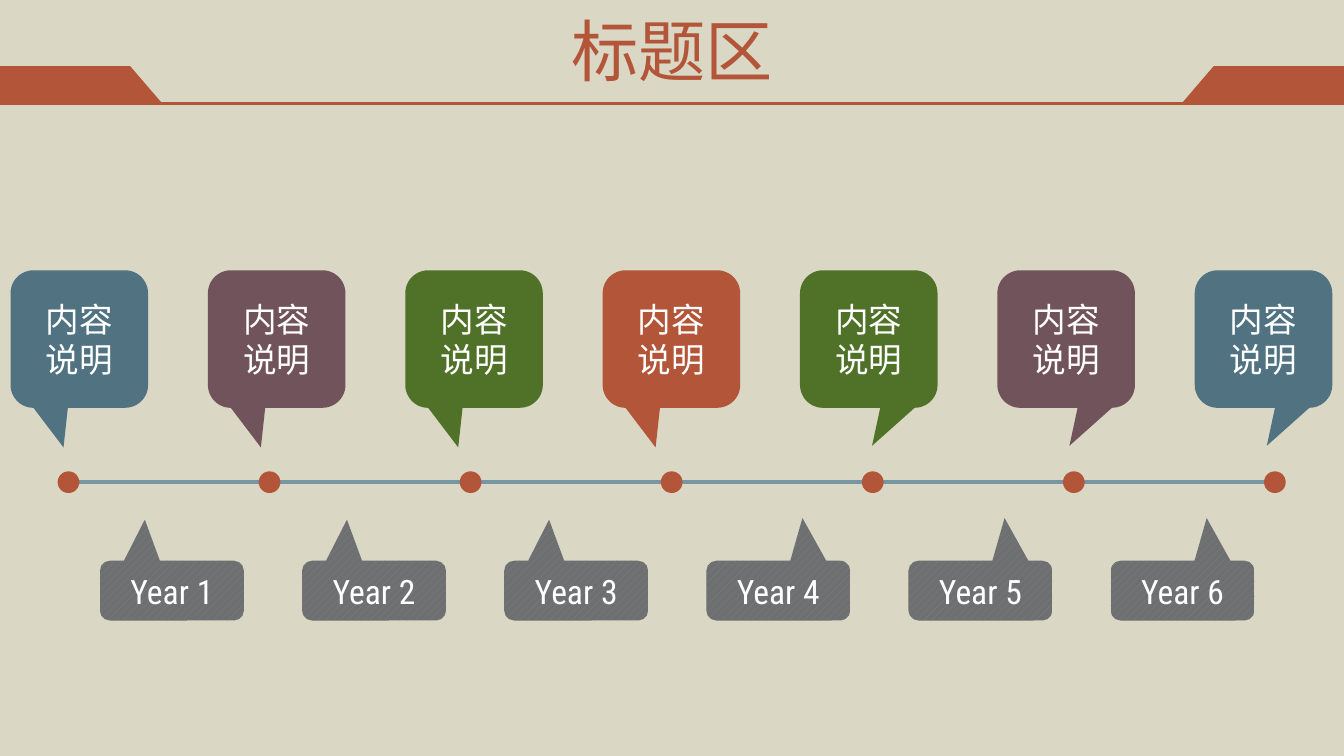
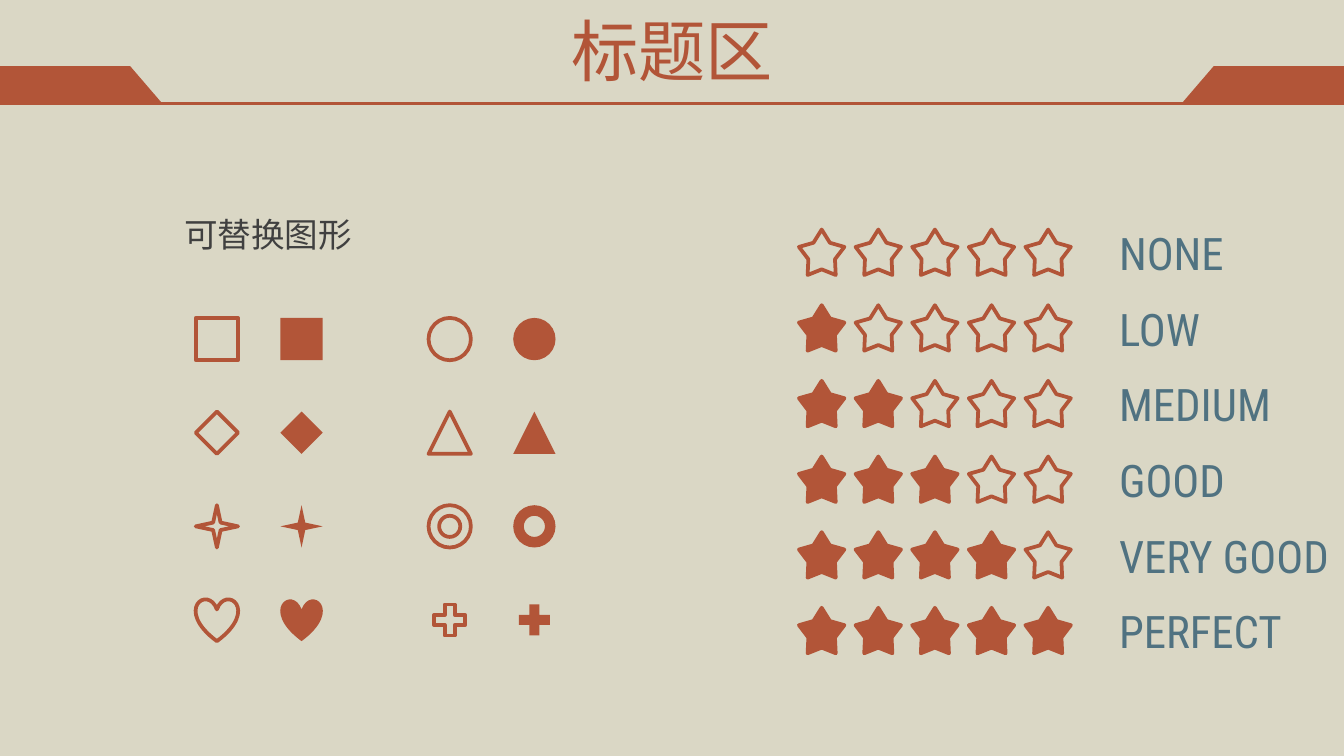
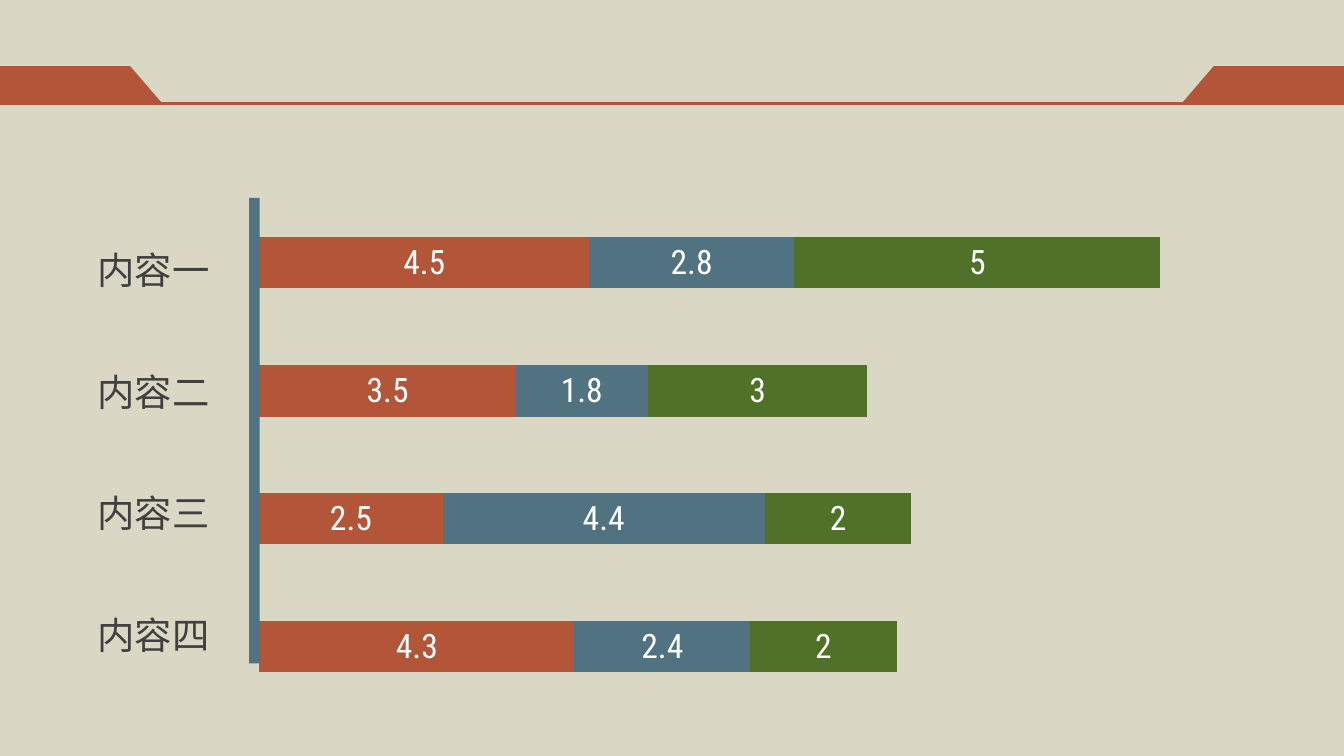
from dataclasses import dataclass
from itertools import product

from lxml import etree
from pptx import Presentation
from pptx.chart.data import CategoryChartData
from pptx.dml.color import RGBColor
from pptx.enum.chart import XL_CHART_TYPE, XL_LABEL_POSITION
from pptx.enum.dml import MSO_PATTERN
from pptx.enum.shapes import MSO_CONNECTOR, MSO_SHAPE
from pptx.enum.text import MSO_ANCHOR, MSO_AUTO_SIZE, PP_ALIGN
from pptx.oxml.ns import qn
from pptx.util import Cm, Pt

BARS = XL_CHART_TYPE.BAR_STACKED
MID_LABEL = XL_LABEL_POSITION.CENTER
HATCH = MSO_PATTERN.WIDE_UPWARD_DIAGONAL
STRAIGHT = MSO_CONNECTOR.STRAIGHT
CALLOUT = MSO_SHAPE.ROUNDED_RECTANGULAR_CALLOUT
DOT = MSO_SHAPE.OVAL
RECT = MSO_SHAPE.RECTANGLE
STAR = MSO_SHAPE.STAR_5_POINT
MIDDLE = MSO_ANCHOR.MIDDLE
GROW = MSO_AUTO_SIZE.SHAPE_TO_FIT_TEXT
LEFT, CENTER = PP_ALIGN.LEFT, PP_ALIGN.CENTER

WIDE, HIGH = 25.4, 14.29
TITLE_ONLY, BLANK = 5, 6


@dataclass(frozen=True)
class Theme:
    font: str = "Roboto Condensed"
    sand: str = "DAD7C5"
    rust: str = "B25538"
    blue: str = "507281"
    sky: str = "7895A4"
    plum: str = "71535C"
    green: str = "507228"
    gray: str = "6E6F71"
    stripe: str = "808080"
    dark: str = "404040"
    white: str = "FFFFFF"
    title: int = 36
    grade: int = 24
    label: int = 20
    body: int = 18


@dataclass(frozen=True)
class Box:
    """A place on the slide, in centimetres."""
    x: float
    y: float
    w: float
    h: float

    def emu(self) -> tuple:
        return Cm(self.x), Cm(self.y), Cm(self.w), Cm(self.h)


@dataclass(frozen=True)
class Bubble:
    """A callout; tip is its pointer offset as shares of its size."""
    text: str
    box: Box
    tip: tuple[float, float]
    fill: str = ""  # blank means striped gray


@dataclass(frozen=True)
class Grade:
    """A row of the star scale."""
    text: str
    stars: int
    width: float


T = Theme()


# Shared helpers

def rgb(code: str) -> RGBColor:
    return RGBColor.from_string(code)


def set_font(font, size: int, color: str) -> None:
    font.name, font.size = T.font, Pt(size)
    font.color.rgb = rgb(color)


def write(frame, text: str, size: int, color: str, align=CENTER) -> None:
    frame.text = text
    para = frame.paragraphs[0]
    para.alignment = align
    set_font(para.font, size, color)


def add_text(slide, box: Box, text: str, size: int, color: str, align=LEFT) -> None:
    frame = slide.shapes.add_textbox(*box.emu()).text_frame
    frame.word_wrap = True
    frame.auto_size = GROW
    write(frame, text, size, color, align)


def paint(shape, fill: str = "", line: str = "") -> None:
    shape.shadow.inherit = False
    if fill:
        shape.fill.solid()
        shape.fill.fore_color.rgb = rgb(fill)
    else:
        shape.fill.background()
    if line:
        shape.line.color.rgb = rgb(line)
        shape.line.width = Pt(2)
    else:
        shape.line.fill.background()


def add_form(shapes, kind, box: Box, fill: str = "", line: str = ""):
    shape = shapes.add_shape(kind, *box.emu())
    paint(shape, fill, line)
    return shape


def add_line(shapes, left: float, right: float, y: float, color: str, width: float) -> None:
    line = shapes.add_connector(STRAIGHT, Cm(left), Cm(y), Cm(right), Cm(y))
    line.line.color.rgb = rgb(color)
    line.line.width = Pt(width)
    etree.SubElement(line._element.spPr, qn("a:effectLst"))


def add_band(slide) -> None:
    top, base = 1.25, 1.96
    shapes = slide.shapes.add_group_shape().shapes
    add_line(shapes, 0, WIDE, base, T.rust, 1.5)
    for edge, way in ((0, 1), (WIDE, -1)):
        path = shapes.build_freeform(Cm(edge), Cm(top))
        points = ((2.46, top), (3.07, base), (0, base))
        path.add_line_segments([(Cm(edge + way * x), Cm(y)) for x, y in points])
        paint(path.convert_to_shape(), T.rust)


def add_slide(deck, title: str = ""):
    slide = deck.slides.add_slide(deck.slide_layouts[TITLE_ONLY if title else BLANK])
    add_band(slide)
    if title:
        head = slide.shapes.title
        head.left, head.top, head.width, head.height = Box(1.27, -0.25, 22.86, 2.39).emu()
        head.text_frame.vertical_anchor = MIDDLE
        write(head.text_frame, title, T.title, T.rust)
    return slide


# Slide 1: timeline

def add_bubble(slide, item: Bubble) -> None:
    shape = add_form(slide.shapes, CALLOUT, item.box, item.fill)
    if not item.fill:
        shape.fill.patterned()
        shape.fill.pattern = HATCH
        shape.fill.fore_color.rgb = rgb(T.stripe)
        shape.fill.back_color.rgb = rgb(T.gray)
    shape.adjustments[0], shape.adjustments[1] = item.tip
    shape.text_frame.vertical_anchor = MIDDLE
    write(shape.text_frame, item.text, T.body, T.white)


def draw_time(deck) -> None:
    slide = add_slide(deck, "标题区")
    add_line(slide.shapes, 1.09, 24.1, 9.11, T.sky, 2.25)
    for i in range(7):
        add_form(slide.shapes, DOT, Box(1.09 + 3.8 * i, 8.91, 0.41, 0.41), T.rust)
    # Years below the line
    for i in range(6):
        tip = (-0.188, -1.188) if i < 3 else (0.168, -1.215)
        add_bubble(slide, Bubble(f"Year {i + 1}", Box(1.89 + 3.82 * i, 10.6, 2.72, 1.13), tip))
    # Notes above the line
    hues = (T.blue, T.plum, T.green, T.rust, T.green, T.plum, T.blue)
    for i, hue in enumerate(hues):
        tip = (-0.115, 0.788) if i < 4 else (0.024, 0.776)
        add_bubble(slide, Bubble("内容说明", Box(0.2 + 3.73 * i, 5.11, 2.6, 2.6), tip, hue))


# Slide 2: icons and star scale

GRADES = (
    Grade("NONE", 0, 2.6),
    Grade("LOW", 1, 2.6),
    Grade("MEDIUM", 2, 4),
    Grade("GOOD", 3, 2.6),
    Grade("VERY GOOD", 4, 4.6),
    Grade("PERFECT", 5, 4),
)
ICONS = (
    (RECT, DOT),
    (MSO_SHAPE.DIAMOND, MSO_SHAPE.ISOSCELES_TRIANGLE),
    (MSO_SHAPE.STAR_4_POINT, MSO_SHAPE.DONUT),
    (MSO_SHAPE.HEART, MSO_SHAPE.MATH_PLUS),
)


def draw_icons(deck) -> None:
    slide = add_slide(deck, "标题区")
    # Star scale
    for row, grade in enumerate(GRADES):
        drop = 1.43 * row
        stars = slide.shapes.add_group_shape().shapes
        for i in range(5):
            box = Box(15.1 + 1.07 * i, 4.34 + drop, 0.86, 0.86)
            star = add_form(stars, STAR, box, T.rust if i < grade.stars else "", T.rust)
            star.adjustments[0] = 0.293
        box = Box(20.9, 4.14 + drop, grade.width, 1.27)
        add_text(slide, box, grade.text, T.grade, T.blue)
    # Outlined and solid icon pairs
    for row, col in product(range(4), range(2)):
        x, y = 3.7 + 4.4 * col, 6.01 + 1.77 * row
        kind = ICONS[row][col]
        add_form(slide.shapes, kind, Box(x, y, 0.8, 0.8), line=T.rust)
        add_form(slide.shapes, kind, Box(x + 1.6, y, 0.8, 0.8), T.rust)
    add_text(slide, Box(3.23, 3.91, 8, 1.03), "可替换图形", T.body, T.dark)


# Slide 3: stacked bars

SERIES = (
    ("Series 1", (4.3, 2.5, 3.5, 4.5), T.rust),
    ("Series 2", (2.4, 4.4, 1.8, 2.8), T.blue),
    ("Series 3", (2, 2, 3, 5), T.green),
)


def add_bars(slide) -> None:
    data = CategoryChartData()
    data.categories = ("1", "2", "3", "4")
    for name, vals, _ in SERIES:
        data.add_series(name, vals)
    chart = slide.shapes.add_chart(BARS, *Box(4.5, 3.56, 20.19, 10.08).emu(), data).chart
    chart.has_title = chart.has_legend = False
    set_font(chart.font, T.body, T.white)
    for axis in (chart.category_axis, chart.value_axis):
        axis.visible = axis.has_major_gridlines = False
    chart.value_axis.minimum_scale, chart.value_axis.maximum_scale = 0, 14
    plot = chart.plots[0]
    plot.gap_width, plot.overlap = 150, 100
    plot.vary_by_categories = False
    for part, (_, _, hue) in zip(plot.series, SERIES):
        part.format.fill.solid()
        part.format.fill.fore_color.rgb = rgb(hue)
        tags = part.data_labels
        tags.show_value = True
        tags.position = MID_LABEL
        set_font(tags.font, T.body, T.white)


def draw_bars(deck) -> None:
    slide = add_slide(deck)
    add_bars(slide)
    add_form(slide.shapes, RECT, Box(4.71, 3.74, 0.2, 8.8), T.blue)
    for i, mark in enumerate("一二三四"):
        box = Box(1.3, 4.55 + 2.3 * i, 3.2, 1.12)
        add_text(slide, box, f"内容{mark}", T.label, T.dark, CENTER)


def main() -> None:
    deck = Presentation()
    deck.slide_width, deck.slide_height = Cm(WIDE), Cm(HIGH)
    back = deck.slide_master.background.fill
    back.solid()
    back.fore_color.rgb = rgb(T.sand)
    for draw in (draw_time, draw_icons, draw_bars):
        draw(deck)
    deck.save("out.pptx")


if __name__ == "__main__":
    main()
